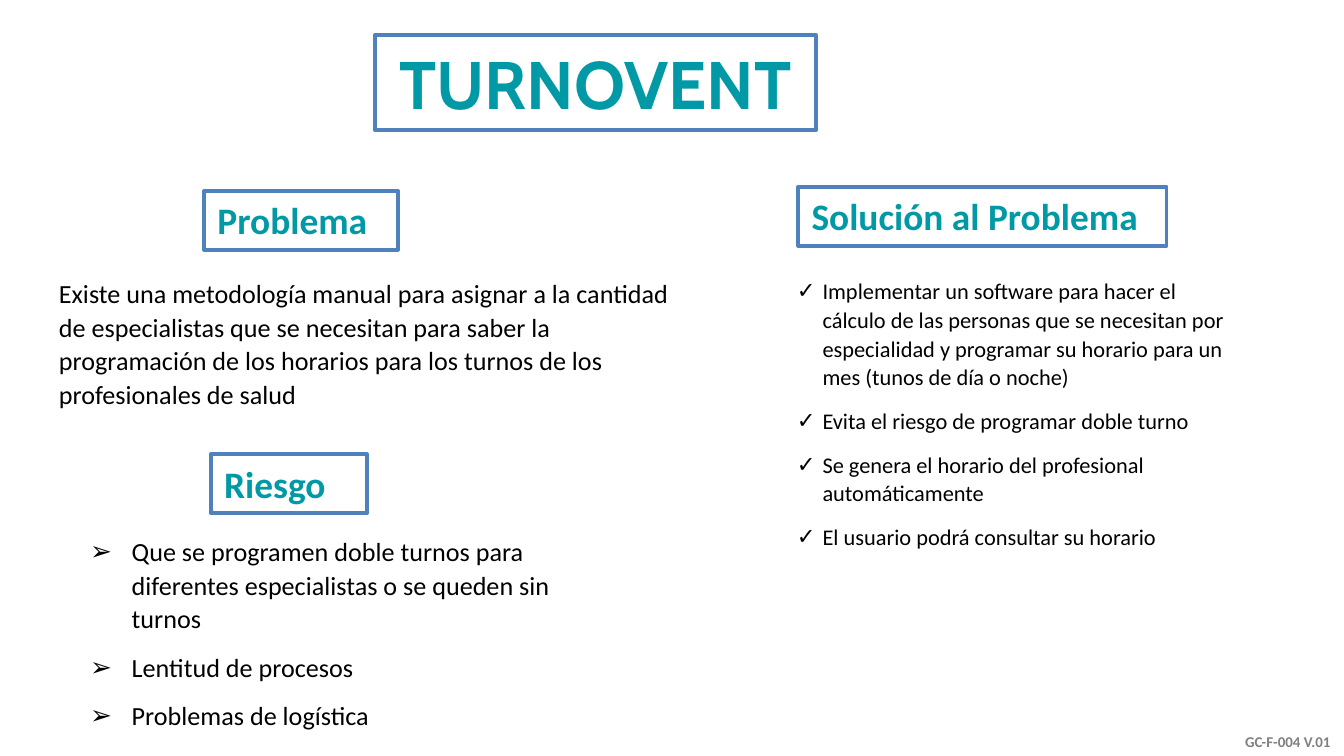
from dataclasses import dataclass

from lxml import etree
from pptx import Presentation
from pptx.dml.color import RGBColor
from pptx.enum.shapes import MSO_SHAPE
from pptx.enum.text import MSO_ANCHOR, MSO_AUTO_SIZE, PP_ALIGN
from pptx.oxml.ns import qn
from pptx.util import Inches, Pt

RECTANGLE = MSO_SHAPE.RECTANGLE
TOP, MIDDLE, BOTTOM = MSO_ANCHOR.TOP, MSO_ANCHOR.MIDDLE, MSO_ANCHOR.BOTTOM
LEFT, CENTER, RIGHT = PP_ALIGN.LEFT, PP_ALIGN.CENTER, PP_ALIGN.RIGHT
NO_AUTOFIT = MSO_AUTO_SIZE.NONE
TWO_CONTENT_LAYOUT = 3
SLIDE_WIDTH = 10
SLIDE_HEIGHT = SLIDE_WIDTH * 9 / 16


@dataclass(frozen=True)
class Theme:
    accent: RGBColor = RGBColor(0x00, 0x99, 0xA5)
    border: RGBColor = RGBColor(0x4F, 0x81, 0xBD)
    paper: RGBColor = RGBColor(0xFF, 0xFF, 0xFF)
    ink: RGBColor = RGBColor(0x00, 0x00, 0x00)
    muted: RGBColor = RGBColor(0x80, 0x80, 0x80)
    title_font: str = "Cabin"
    text_font: str = "Calibri"
    title_size: int = 36
    heading_size: int = 20
    body_size: int = 14
    small_body_size: int = 12
    code_size: int = 8


@dataclass(frozen=True)
class Box:
    left: float
    top: float
    width: float
    height: float

    def lengths(self) -> list[Inches]:
        return [Inches(v) for v in (self.left, self.top, self.width, self.height)]


@dataclass(frozen=True)
class TextStyle:
    size: int
    color: RGBColor
    font: str = Theme.text_font
    bold: bool = False
    align: PP_ALIGN = LEFT
    anchor: MSO_ANCHOR = TOP


@dataclass(frozen=True)
class Heading:
    text: str
    box: Box


@dataclass(frozen=True)
class BulletList:
    items: tuple[str, ...]
    box: Box
    bullet: str
    indent: float
    size: int


THEME = Theme()
TITLE_STYLE = TextStyle(THEME.title_size, THEME.accent, THEME.title_font, True, CENTER, MIDDLE)
HEADING_STYLE = TextStyle(THEME.heading_size, THEME.accent, bold=True)
BODY_STYLE = TextStyle(THEME.body_size, THEME.ink)
CODE_STYLE = TextStyle(THEME.code_size, THEME.muted, bold=True, align=RIGHT, anchor=BOTTOM)

TITLE = Heading("TURNOVENT", Box(2.79, 0.26, 3.28, 0.71))
HEADINGS = (
    Heading("Problema", Box(1.52, 1.42, 1.44, 0.44)),
    Heading("Solución al Problema", Box(5.94, 1.39, 2.74, 0.44)),
    Heading("Riesgo", Box(1.57, 3.38, 1.16, 0.44)),
)
PROBLEM = (
    "Existe una metodología manual para asignar a la cantidad de especialistas "
    "que se necesitan para saber la programación de los horarios para los turnos "
    "de los profesionales de salud"
)
RISKS = BulletList(
    (
        "Que se programen doble turnos para diferentes especialistas o se queden sin turnos",
        "Lentitud de procesos",
        "Problemas de logística",
    ),
    Box(0.57, 3.92, 3.69, 1.59), "➢", 0.31, THEME.body_size,
)
SOLUTIONS = BulletList(
    (
        "Implementar un software para hacer el cálculo de las personas que se necesitan "
        "por especialidad y programar su horario para un mes (tunos de día o noche)",
        "Evita el riesgo de programar doble turno",
        "Se genera el horario del profesional automáticamente",
        "El usuario podrá consultar su horario",
    ),
    Box(5.83, 2, 3.51, 2.17), "✓", 0.19, THEME.small_body_size,
)


def place(shape, box: Box) -> None:
    shape.left, shape.top, shape.width, shape.height = box.lengths()


def write(shape, texts: tuple[str, ...], style: TextStyle) -> None:
    frame = shape.text_frame
    frame.text = "\n".join(texts)
    frame.word_wrap = True
    frame.auto_size = NO_AUTOFIT
    frame.vertical_anchor = style.anchor
    for paragraph in frame.paragraphs:
        paragraph.alignment = style.align
        font = paragraph.font
        font.name, font.size, font.bold = style.font, Pt(style.size), style.bold
        font.color.rgb = style.color


def space_paragraphs(shape) -> None:
    for paragraph in shape.text_frame.paragraphs:
        paragraph.line_spacing = 1.07
        paragraph.space_before = Pt(0)
        paragraph.space_after = Pt(8)


def frame_box(shape) -> None:
    shape.fill.solid()
    shape.fill.fore_color.rgb = THEME.paper
    shape.line.color.rgb = THEME.border
    shape.line.width = Pt(2)


def add_heading(slide, heading: Heading) -> None:
    shape = slide.shapes.add_shape(RECTANGLE, *heading.box.lengths())
    shape.shadow.inherit = False
    frame_box(shape)
    write(shape, (heading.text,), HEADING_STYLE)


def add_text(slide, text: str, box: Box, style: TextStyle):
    shape = slide.shapes.add_textbox(*box.lengths())
    write(shape, (text,), style)
    return shape


def fill_list(placeholder, bullets: BulletList) -> None:
    """Put the items in the placeholder with a hanging bullet on each."""
    place(placeholder, bullets.box)
    write(placeholder, bullets.items, TextStyle(bullets.size, THEME.ink))
    space_paragraphs(placeholder)
    for paragraph in placeholder.text_frame.paragraphs:
        properties = paragraph._p.get_or_add_pPr()
        properties.set("marL", str(Inches(bullets.indent)))
        properties.set("indent", str(-Inches(bullets.indent)))
        bullet = etree.Element(qn("a:buChar"), char=bullets.bullet)
        properties.find(qn("a:defRPr")).addprevious(bullet)


def main() -> None:
    presentation = Presentation()
    presentation.slide_width = Inches(SLIDE_WIDTH)
    presentation.slide_height = Inches(SLIDE_HEIGHT)
    slide = presentation.slides.add_slide(presentation.slide_layouts[TWO_CONTENT_LAYOUT])

    title = slide.shapes.title
    place(title, TITLE.box)
    frame_box(title)
    write(title, (TITLE.text,), TITLE_STYLE)

    for heading in HEADINGS:
        add_heading(slide, heading)
    space_paragraphs(add_text(slide, PROBLEM, Box(0.34, 2, 4.9, 1.1), BODY_STYLE))
    for placeholder, bullets in zip(list(slide.placeholders)[1:], (RISKS, SOLUTIONS)):
        fill_list(placeholder, bullets)
    add_text(slide, "GC-F-004 V.01", Box(8.37, 5.2, 1.63, 0.43), CODE_STYLE)

    presentation.save("out.pptx")


if __name__ == "__main__":
    main()
